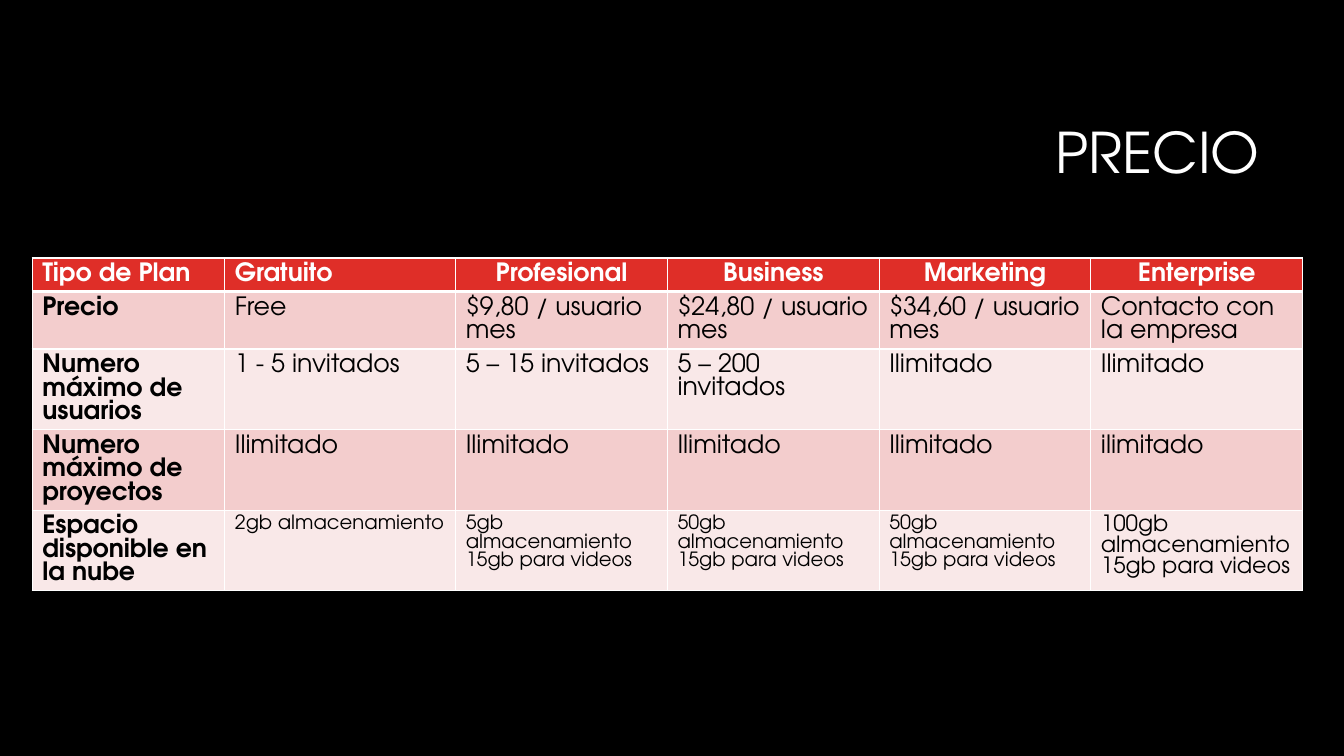
from lxml import etree
from pptx import Presentation
from pptx.dml.color import RGBColor
from pptx.enum.text import MSO_ANCHOR, PP_ALIGN
from pptx.oxml.ns import qn
from pptx.util import Inches, Pt

CENTER, RIGHT = PP_ALIGN.CENTER, PP_ALIGN.RIGHT
MIDDLE = MSO_ANCHOR.MIDDLE

BLACK = RGBColor(0x00, 0x00, 0x00)
WHITE = RGBColor(0xFF, 0xFF, 0xFF)
RED = RGBColor(0xDF, 0x2E, 0x28)
PINK = RGBColor(0xF3, 0xCD, 0xCD)
PALE_PINK = RGBColor(0xF9, 0xE8, 0xE8)

FONT = "TeX Gyre Adventor"
LINE_PITCH = 0.93
COLUMN_WIDTHS = [1.91, 2.29, 2.1, 2.1, 2.1, 2.1]
ROW_HEIGHTS = [0.33, 0.57, 0.8, 0.8, 0.8]
STORAGE_SIZES = [18, 14, 14, 14, 14, 16]
PLANS = [
    ["Tipo de Plan", "Gratuito", "Profesional", "Business", "Marketing", "Enterprise"],
    ["Precio", "Free", "$9,80 / usuario mes", "$24,80 / usuario mes",
     "$34,60 / usuario mes", "Contacto con la empresa"],
    ["Numero máximo de usuarios", "1 - 5 invitados", "5 – 15 invitados",
     "5 – 200 invitados", "Ilimitado", "Ilimitado"],
    ["Numero máximo de proyectos", "Ilimitado", "Ilimitado", "Ilimitado",
     "Ilimitado", "ilimitado"],
    ["Espacio disponible en la nube", "2gb almacenamiento",
     "5gb almacenamiento\n15gb para videos",
     "50gb almacenamiento\n15gb para videos",
     "50gb almacenamiento\n15gb para videos",
     "100gb almacenamiento\n15gb para videos"],
]


def format_text(frame, size, color, line_spacing, bold=False, align=None):
    for para in frame.paragraphs:
        para.alignment = align
        para.line_spacing = line_spacing
        for span in para.runs:
            span.font.name = FONT
            span.font.size = Pt(size)
            span.font.bold = bold
            span.font.color.rgb = color


def set_borders(cell, widths):
    """Draw white cell borders; widths maps a side (L, R, T, B) to points."""
    properties = cell._tc.get_or_add_tcPr()
    for position, (side, width) in enumerate(widths.items()):
        line = etree.Element(qn(f"a:ln{side}"), w=str(Pt(width)))
        fill = etree.SubElement(line, qn("a:solidFill"))
        etree.SubElement(fill, qn("a:srgbClr"), val=str(WHITE))
        properties.insert(position, line)


def add_title(page, left, top, width, height):
    box = page.shapes.add_textbox(Inches(left), Inches(top), Inches(width), Inches(height))
    frame = box.text_frame
    frame.word_wrap = True
    frame.vertical_anchor = MIDDLE
    frame.text = "PRECIO"
    format_text(frame, 40, WHITE, 0.9, align=RIGHT)


def fill_cell(cell, row, column):
    header = row == 0
    last_row = row == len(PLANS) - 1
    size = STORAGE_SIZES[column] if last_row else 18
    cell.text = PLANS[row][column]
    cell.fill.solid()
    cell.fill.fore_color.rgb = RED if header else PINK if row % 2 else PALE_PINK
    format_text(
        cell.text_frame,
        size,
        WHITE if header else BLACK,
        Pt(round(size * LINE_PITCH, 1)),
        bold=header or column == 0,
        align=CENTER if header and column > 1 else None,
    )
    set_borders(cell, {"L": 1, "R": 1, "T": 3 if row == 1 else 1, "B": 3 if header else 1})


def add_price_table(page, left, top):
    frame = page.shapes.add_table(
        len(ROW_HEIGHTS), len(COLUMN_WIDTHS), Inches(left), Inches(top),
        Inches(sum(COLUMN_WIDTHS)), Inches(sum(ROW_HEIGHTS)))
    table = frame.table
    for column, width in zip(table.columns, COLUMN_WIDTHS):
        column.width = Inches(width)
    for row, height in zip(table.rows, ROW_HEIGHTS):
        row.height = Inches(height)
    for row in range(len(ROW_HEIGHTS)):
        for column in range(len(COLUMN_WIDTHS)):
            fill_cell(table.cell(row, column), row, column)


def main():
    deck = Presentation()
    deck.slide_width, deck.slide_height = Inches(13.33), Inches(7.5)
    page = deck.slides.add_slide(deck.slide_layouts[6])
    page.background.fill.solid()
    page.background.fill.fore_color.rgb = BLACK
    add_title(page, 3.17, 0.84, 9.42, 1.41)
    add_price_table(page, 0.32, 2.56)
    deck.save("out.pptx")


if __name__ == "__main__":
    main()
